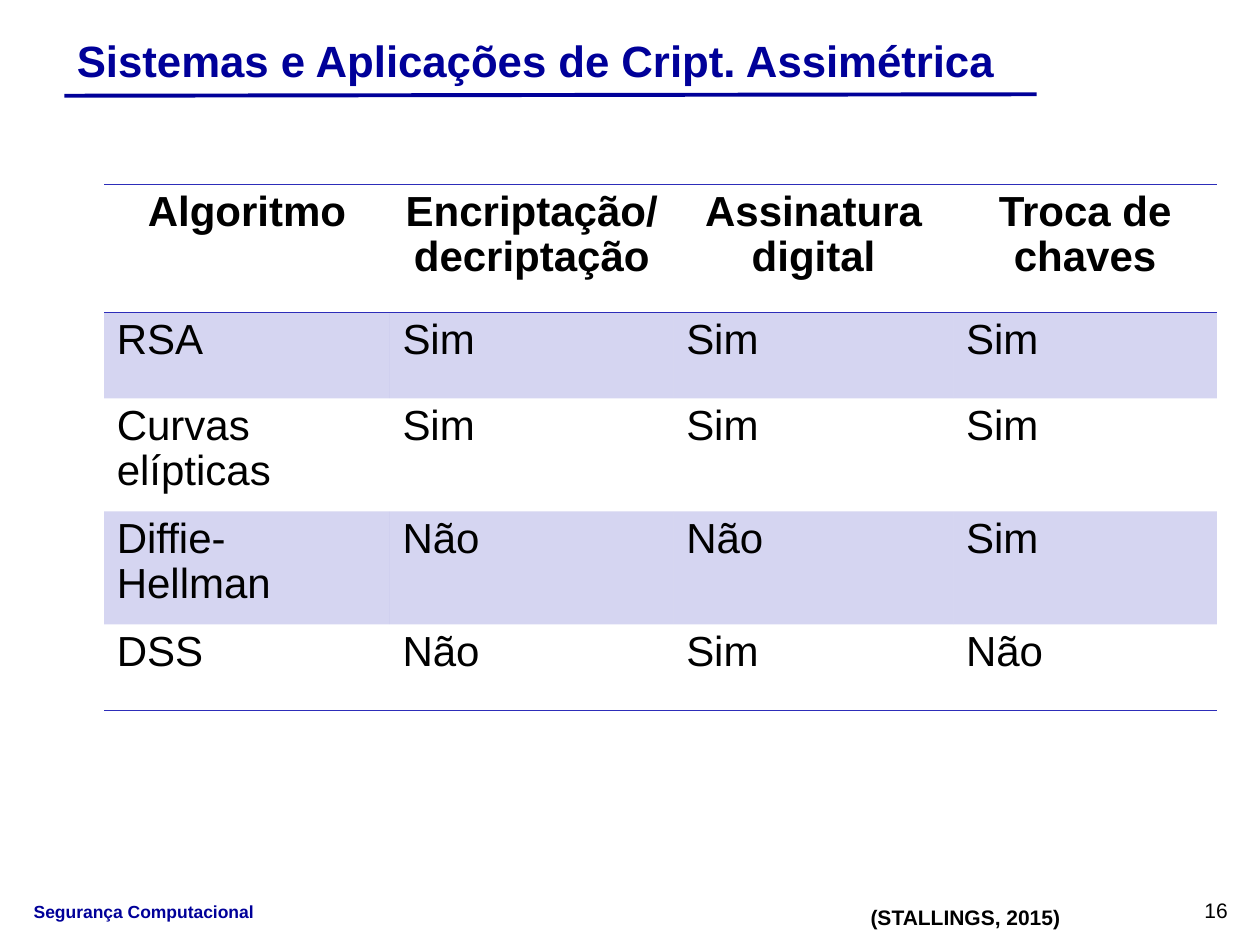
from dataclasses import dataclass

from lxml.etree import SubElement
from pptx import Presentation
from pptx.dml.color import RGBColor
from pptx.enum.shapes import MSO_CONNECTOR as Connector
from pptx.enum.text import MSO_ANCHOR as Anchor, PP_ALIGN as Align
from pptx.oxml import parse_xml
from pptx.oxml.ns import nsdecls, qn
from pptx.util import Cm, Pt

COLORS = {"navy": "000099", "black": "000000", "accent": "2D2DB9"}
FONT = "Arial"
BAND_ALPHA = 20000
RULE_WIDTH = Pt(0.45)


@dataclass(frozen=True)
class Label:
    text: str
    left: float
    top: float
    width: float
    height: float
    size: float
    color: str
    bold: bool = True
    anchor: Anchor = Anchor.TOP


LABELS = [
    Label("Segurança Computacional", 0.43, 18.03, 15.49, 0.69, 10, "navy"),
    Label("16", 24.03, 17.96, 1.85, 0.76, 12, "black", bold=False),
    Label("Sistemas e Aplicações de Cript. Assimétrica",
          1.3, 0.56, 19.41, 1.32, 25, "navy", anchor=Anchor.MIDDLE),
    Label("(STALLINGS, 2015)", 17.3, 18.11, 4.39, 0.76, 12, "black"),
]

ALGORITHMS = [
    ("Algoritmo", "Encriptação/\ndecriptação", "Assinatura digital", "Troca de chaves"),
    ("RSA", "Sim", "Sim", "Sim"),
    ("Curvas elípticas", "Sim", "Sim", "Sim"),
    ("Diffie-Hellman", "Não", "Não", "Sim"),
    ("DSS", "Não", "Sim", "Não"),
]
COLUMN_WIDTHS = [5.76, 5.72, 5.64, 5.31]
ROW_HEIGHTS = [2.58, 1.73, 2.28, 2.28, 1.73]


def rgb(name: str) -> RGBColor:
    return RGBColor.from_string(COLORS[name])


def style(paragraph, size: float, color: str, bold: bool) -> None:
    font = paragraph.font
    font.name, font.size, font.bold = FONT, Pt(size), bold
    font.color.rgb = rgb(color)


def add_label(slide, label: Label) -> None:
    box = slide.shapes.add_textbox(
        Cm(label.left), Cm(label.top), Cm(label.width), Cm(label.height))
    frame = box.text_frame
    frame.word_wrap = True
    frame.vertical_anchor = label.anchor
    frame.text = label.text
    style(frame.paragraphs[0], label.size, label.color, label.bold)


def add_title_rule(slide) -> None:
    rule = slide.shapes.add_connector(
        Connector.STRAIGHT, Cm(1.3), Cm(1.93), Cm(20.9), Cm(1.9))
    rule.line.color.rgb = rgb("navy")
    rule.line.width = Pt(2.25)
    SubElement(rule._element.spPr, qn("a:effectLst"))


def set_borders(cell, ruled_sides: set[str]) -> None:
    properties = cell._tc.get_or_add_tcPr()
    for position, side in enumerate("LRTB"):
        ruled = side in ruled_sides
        paint = (f'<a:solidFill><a:srgbClr val="{COLORS["accent"]}"/></a:solidFill>'
                 if ruled else "<a:noFill/>")
        width = RULE_WIDTH if ruled else 0
        properties.insert(position, parse_xml(
            f'<a:ln{side} {nsdecls("a")} w="{width}">{paint}</a:ln{side}>'))


def fill_band(cell) -> None:
    cell.fill.solid()
    cell.fill.fore_color.rgb = rgb("accent")
    tint = cell._tc.tcPr.find(qn("a:solidFill")).find(qn("a:srgbClr"))
    SubElement(tint, qn("a:alpha"), val=str(BAND_ALPHA))


def add_algorithm_table(slide) -> None:
    table = slide.shapes.add_table(
        len(ALGORITHMS), len(COLUMN_WIDTHS), Cm(2.1), Cm(3.72),
        Cm(sum(COLUMN_WIDTHS)), Cm(sum(ROW_HEIGHTS))).table
    table.first_row = table.horz_banding = False
    for column, width in zip(table.columns, COLUMN_WIDTHS):
        column.width = Cm(width)
    last = len(ALGORITHMS) - 1
    for index, (row, height, answers) in enumerate(
            zip(table.rows, ROW_HEIGHTS, ALGORITHMS)):
        row.height = Cm(height)
        header = index == 0
        ruled_sides = {0: {"T", "B"}, 1: {"T"}, last: {"B"}}.get(index, set())
        for cell, answer in zip(row.cells, answers):
            cell.text = answer
            for paragraph in cell.text_frame.paragraphs:
                paragraph.alignment = Align.CENTER if header else Align.LEFT
                paragraph.line_spacing = 0.96
                style(paragraph, 24, "black", header)
            if index % 2:
                fill_band(cell)
            else:
                cell.fill.background()
            set_borders(cell, ruled_sides)


def main() -> None:
    deck = Presentation()
    deck.slide_width, deck.slide_height = Cm(25.4), Cm(19.05)
    slide = deck.slides.add_slide(deck.slide_layouts[6])
    add_title_rule(slide)
    for label in LABELS:
        add_label(slide, label)
    add_algorithm_table(slide)
    deck.save("out.pptx")


if __name__ == "__main__":
    main()
